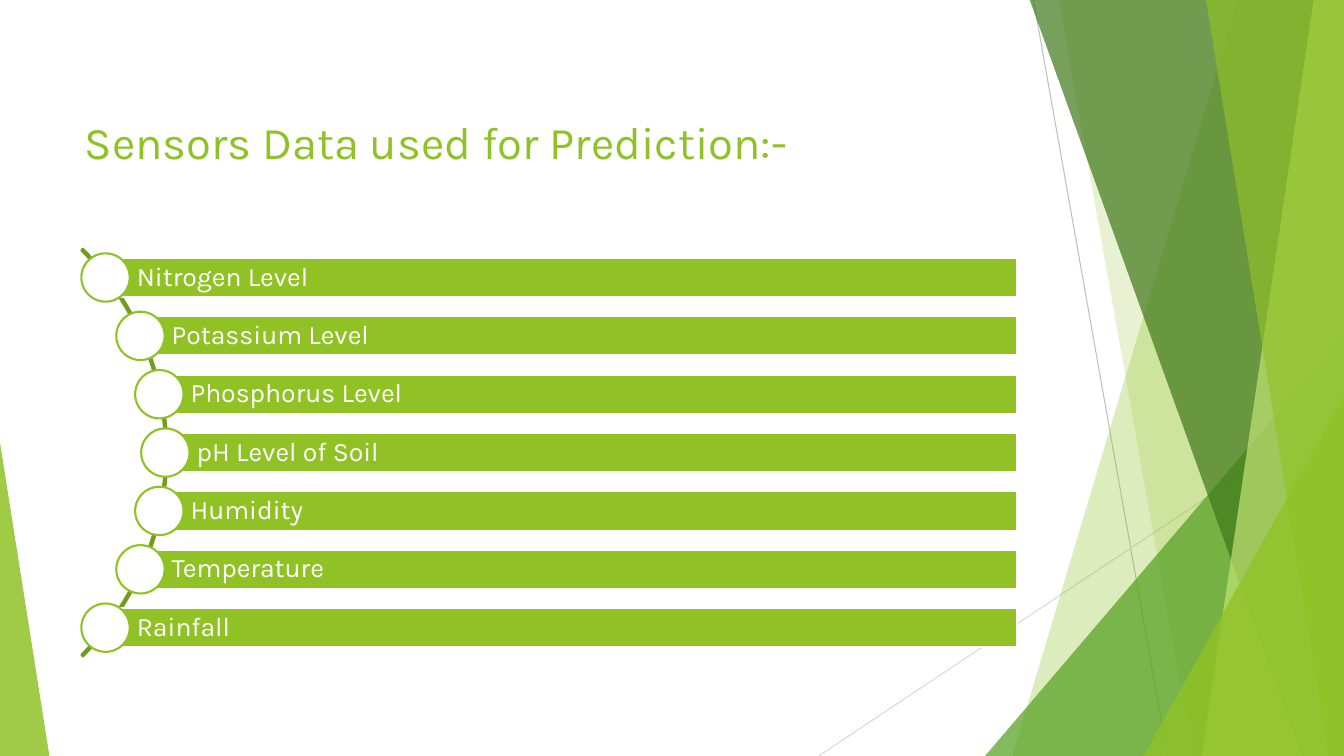
from dataclasses import dataclass
from math import sqrt

from lxml import etree
from pptx import Presentation
from pptx.dml.color import RGBColor
from pptx.enum.shapes import MSO_CONNECTOR, MSO_SHAPE
from pptx.enum.text import MSO_ANCHOR, PP_ALIGN
from pptx.oxml.ns import qn
from pptx.util import Inches, Pt

STRAIGHT = MSO_CONNECTOR.STRAIGHT
RECTANGLE, OVAL = MSO_SHAPE.RECTANGLE, MSO_SHAPE.OVAL
TRIANGLE, BLOCK_ARC = MSO_SHAPE.ISOSCELES_TRIANGLE, MSO_SHAPE.BLOCK_ARC
MIDDLE, LEFT = MSO_ANCHOR.MIDDLE, PP_ALIGN.LEFT

COLORS = {
    "lime": "90C226", "green": "54A021", "forest": "3F7819", "pale": "C0E474",
    "olive": "739B1E", "white": "FFFFFF", "gray": "BFBFBF", "silver": "D9D9D9",
}
FONT = "Karla"
PAGE_WIDTH, PAGE_HEIGHT = 13.33, 7.5
SENSORS = ["Nitrogen Level", "Potassium Level", "Phosphorus Level",
           "pH Level of Soil", "Humidity", "Temperature", "Rainfall"]
ARC_X, ARC_Y, ARC_RADIUS, DOT_RADIUS = -1.2, 4.49, 2.86, 0.24
DOT_ORBIT, ROW_STEP = 2.84, 0.579
BAR_RIGHT, BAR_HEIGHT = 10.09, 0.39


@dataclass
class Ray:
    start: tuple[float, float]
    end: tuple[float, float]
    color: str


@dataclass
class Band:
    top_left: float
    bottom_left: float
    color: str
    opacity: int


@dataclass
class Wedge:
    left: float
    top: float
    width: float
    tip: float
    color: str
    opacity: int


RAYS = [
    Ray((10.25, 0), (11.58, PAGE_HEIGHT), "gray"),
    Ray((PAGE_WIDTH, 4.03), (8.12, PAGE_HEIGHT), "silver"),
]
FACETS = [
    Band(12.28, 10.04, "lime", 30),
    Band(10.5, 11.83, "lime", 20),
    Wedge(9.77, 3.33, 3.56, 1, "green", 72),
    Band(10.21, 12.91, "forest", 70),
    Band(13.03, 11.92, "pale", 70),
    Band(11.96, 13.18, "lime", 65),
    Wedge(11.34, 3.93, 1.99, 1, "lime", 80),
    Wedge(0, 4.39, 0.49, 0, "lime", 85),
]


def rgb(name: str) -> RGBColor:
    return RGBColor.from_string(COLORS[name])


def paint(shape, fill: str | None, line: str | None, opacity: int = 100) -> None:
    shape.shadow.inherit = False
    if fill:
        shape.fill.solid()
        shape.fill.fore_color.rgb = rgb(fill)
        if opacity < 100:
            tint = shape._element.spPr.find(qn("a:solidFill"))[0]
            etree.SubElement(tint, qn("a:alpha"), val=str(opacity * 1000))
    else:
        shape.fill.background()
    if line:
        shape.line.color.rgb = rgb(line)
        shape.line.width = Pt(1.5)
    else:
        shape.line.fill.background()


def add_preset(page, kind, left: float, top: float, width: float, height: float):
    return page.shapes.add_shape(
        kind, Inches(left), Inches(top), Inches(width), Inches(height))


def draw_ray(page, ray: Ray) -> None:
    ends = [Inches(value) for value in ray.start + ray.end]
    line = page.shapes.add_connector(STRAIGHT, *ends)
    line.line.color.rgb = rgb(ray.color)
    line.line.width = Pt(0.75)
    etree.SubElement(line._element.spPr, qn("a:effectLst"))


def draw_facet(page, facet: Band | Wedge) -> None:
    if isinstance(facet, Band):
        corners = [(facet.top_left, -0.01), (PAGE_WIDTH, -0.01),
                   (PAGE_WIDTH, PAGE_HEIGHT), (facet.bottom_left, PAGE_HEIGHT)]
        points = [(Inches(x), Inches(y)) for x, y in corners]
        outline = page.shapes.build_freeform(*points[0])
        outline.add_line_segments(points[1:], close=True)
        shape = outline.convert_to_shape()
    else:
        shape = add_preset(page, TRIANGLE, facet.left, facet.top,
                           facet.width, PAGE_HEIGHT - facet.top)
        shape.adjustments[0] = facet.tip
    paint(shape, facet.color, None, facet.opacity)


def write(shape, text: str, size: float, color: str, insets: dict[str, float]) -> None:
    frame = shape.text_frame
    frame.text = text
    layout = {"word_wrap": True, "vertical_anchor": MIDDLE}
    layout |= {f"margin_{side}": Inches(inset) for side, inset in insets.items()}
    for name, value in layout.items():
        setattr(frame, name, value)
    para = frame.paragraphs[0]
    para.alignment = LEFT
    font = para.runs[0].font
    for name, value in {"name": FONT, "size": Pt(size), "bold": False}.items():
        setattr(font, name, value)
    font.color.rgb = rgb(color)


def draw_title(page) -> None:
    title = page.shapes.title
    place = {"left": 0.74, "top": 1.03, "width": 9.4, "height": 0.81}
    for name, value in place.items():
        setattr(title, name, Inches(value))
    write(title, "Sensors Data used for Prediction:-", 32.4, "lime",
          {"left": 0.1, "right": 0.1, "top": 0.05, "bottom": 0.12})


def draw_arc(page) -> None:
    arc = add_preset(page, BLOCK_ARC, ARC_X - ARC_RADIUS, ARC_Y - ARC_RADIUS,
                     2 * ARC_RADIUS, 2 * ARC_RADIUS)
    for index, value in enumerate((189, 27, 0.004)):
        arc.adjustments[index] = value
    paint(arc, None, "olive")


def draw_sensor(page, row: int, label: str) -> None:
    rise = (row - (len(SENSORS) - 1) / 2) * ROW_STEP
    x, y = ARC_X + sqrt(DOT_ORBIT ** 2 - rise ** 2), ARC_Y + rise
    bar = add_preset(page, RECTANGLE, x, y - BAR_HEIGHT / 2, BAR_RIGHT - x, BAR_HEIGHT)
    paint(bar, "lime", "white")
    write(bar, label, 19, "white",
          {"left": 0.31, "right": 0.05, "top": 0.05, "bottom": 0.05})
    bar.text_frame.paragraphs[0].line_spacing = 0.9
    dot = add_preset(page, OVAL, x - DOT_RADIUS, y - DOT_RADIUS,
                     2 * DOT_RADIUS, 2 * DOT_RADIUS)
    paint(dot, "white", "lime")


def main() -> None:
    deck = Presentation()
    deck.slide_width, deck.slide_height = Inches(PAGE_WIDTH), Inches(PAGE_HEIGHT)
    page = deck.slides.add_slide(deck.slide_layouts[5])
    for ray in RAYS:
        draw_ray(page, ray)
    for facet in FACETS:
        draw_facet(page, facet)
    draw_title(page)
    draw_arc(page)
    for row, label in enumerate(SENSORS):
        draw_sensor(page, row, label)
    deck.save("out.pptx")


if __name__ == "__main__":
    main()
